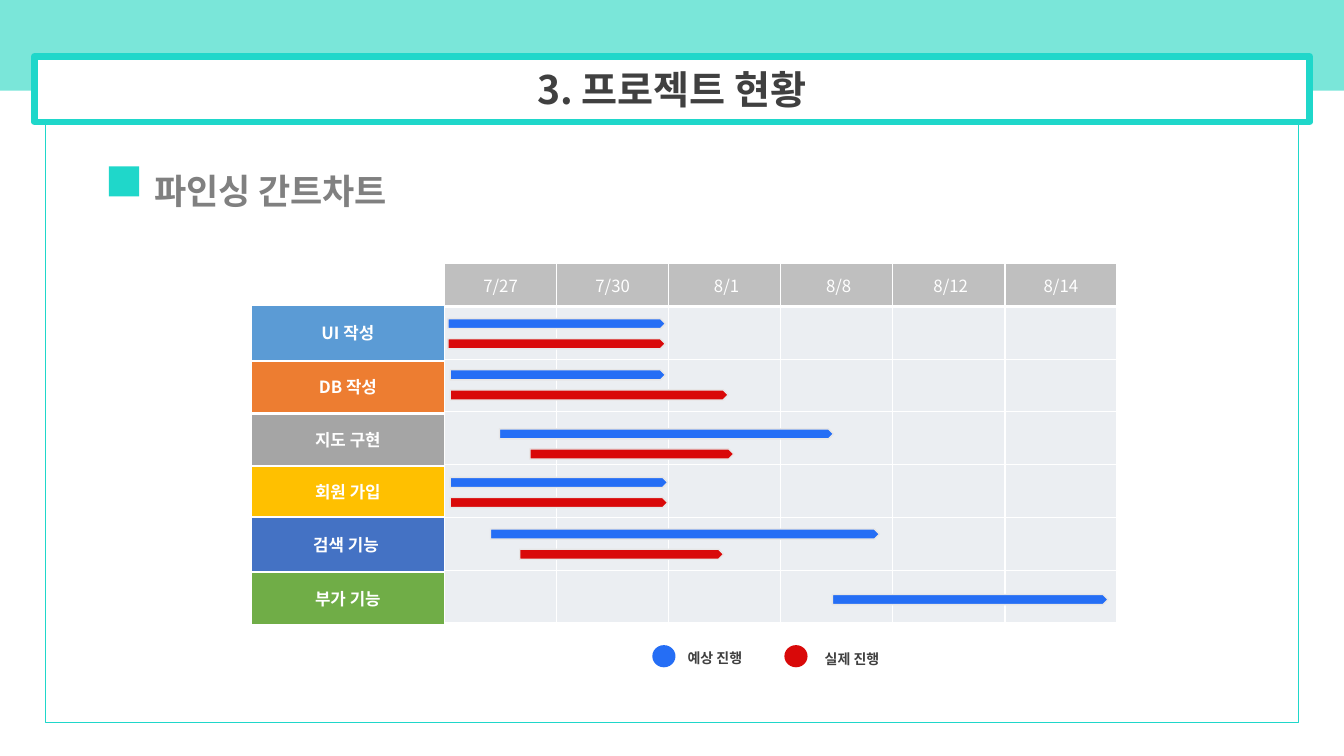
import math
from dataclasses import dataclass
from typing import Any, Optional

from lxml import etree
from pptx import Presentation, util as u
from pptx.dml.color import RGBColor
from pptx.enum import shapes, text
from pptx.oxml.ns import qn

WIDTH, HEIGHT = u.Inches(13.33), u.Inches(7.5)
FONT = "Noto Sans CJK KR"
MINT = RGBColor(0x7A, 0xE6, 0xD9)
TEAL = RGBColor(0x1F, 0xD7, 0xCA)
WHITE = RGBColor(0xFF, 0xFF, 0xFF)
DARK = RGBColor(0x40, 0x40, 0x40)
GRAY = RGBColor(0x80, 0x80, 0x80)
HEADER_GRAY = RGBColor(0xBF, 0xBF, 0xBF)
CELL_GRAY = RGBColor(0xEB, 0xEE, 0xF2)
BAR_EDGE = RGBColor(0xE7, 0xE6, 0xE6)
EXPECTED = RGBColor(0x25, 0x6E, 0xF5)
ACTUAL = RGBColor(0xD9, 0x09, 0x09)

COLUMN, ROW, HEADER = u.Inches(6.67) // 6, u.Inches(3.14) // 6, u.Inches(0.43)
GRID_LEFT, GRID_TOP = u.Inches(4.41), u.Inches(2.61)
LABEL_LEFT, LABELS_TOP = u.Inches(2.49), u.Inches(3.03)
LABEL_WIDTH = GRID_LEFT - LABEL_LEFT
BAR_HEIGHT, BAR_STEP = u.Inches(0.1), u.Inches(0.2)
DATES = ["7/27", "7/30", " 8/1", " 8/8", " 8/12", "8/14"]


@dataclass
class Box:
    left: int
    top: int
    width: int
    height: int


@dataclass
class Bar:
    start: float
    span: float
    color: RGBColor


@dataclass
class Task:
    name: str
    color: RGBColor
    rows: float
    inset: float
    bars: list[Bar]


@dataclass
class LegendEntry:
    name: str
    color: RGBColor
    dot_left: float
    text_left: float
    text_top: float


TASKS = [
    Task("UI 작성", RGBColor(0x5B, 0x9B, 0xD5), 1.05, 0.25,
         [Bar(0.03, 1.94, EXPECTED), Bar(0.03, 1.94, ACTUAL)]),
    Task("DB 작성", RGBColor(0xED, 0x7D, 0x31), 1, 0.17,
         [Bar(0.05, 1.92, EXPECTED), Bar(0.05, 2.48, ACTUAL)]),
    Task("지도 구현", RGBColor(0xA5, 0xA5, 0xA5), 1, 0.29,
         [Bar(0.49, 2.98, EXPECTED), Bar(0.76, 1.82, ACTUAL)]),
    Task("회원 가입", RGBColor(0xFF, 0xC0, 0x00), 0.96, 0.21,
         [Bar(0.05, 1.94, EXPECTED), Bar(0.05, 1.94, ACTUAL)]),
    Task("검색 기능 ", RGBColor(0x44, 0x72, 0xC4), 1.05, 0.23,
         [Bar(0.41, 3.47, EXPECTED), Bar(0.67, 1.82, ACTUAL)]),
    Task("부가 기능", RGBColor(0x70, 0xAD, 0x47), 1, 0.42, [Bar(3.46, 2.46, EXPECTED)]),
]
LEGEND = [
    LegendEntry("예상 진행", EXPECTED, 6.47, 6.79, 6.44),
    LegendEntry("실제 진행", ACTUAL, 7.78, 8.15, 6.45),
]


def inches(left: float, top: float, width: float, height: float) -> Box:
    return Box(*(u.Inches(value) for value in (left, top, width, height)))


def apply_format(target: Any, values: dict[str, Any]) -> None:
    for name, value in values.items():
        setattr(target, name, value)


def write(frame: Any, words: str, size: float, color: RGBColor, bold: bool = True,
          align: Any = text.PP_ALIGN.CENTER) -> Any:
    paragraph = frame.paragraphs[0]
    paragraph.alignment = align
    run = paragraph.add_run()
    run.text = words
    apply_format(run.font, {"name": FONT, "size": u.Pt(size), "bold": bold})
    run.font.color.rgb = color
    east_asian = etree.SubElement(run.font._element, qn("a:ea"))
    east_asian.set("typeface", FONT)
    return paragraph


def paint(shape: Any, fill: RGBColor, line: Optional[RGBColor] = None, weight: float = 1) -> None:
    shape.shadow.inherit = False
    shape.fill.solid()
    shape.fill.fore_color.rgb = fill
    if line is None:
        shape.line.fill.background()
    else:
        shape.line.color.rgb = line
        shape.line.width = u.Pt(weight)


def add_box(slide: Any, box: Box, fill: RGBColor, line: Optional[RGBColor] = None,
            weight: float = 1, kind: Any = shapes.MSO_SHAPE.RECTANGLE) -> Any:
    shape = slide.shapes.add_shape(kind, box.left, box.top, box.width, box.height)
    paint(shape, fill, line, weight)
    shape.text_frame.vertical_anchor = text.MSO_ANCHOR.MIDDLE
    return shape


def add_text(slide: Any, box: Box, formats: dict[str, Any]) -> Any:
    shape = slide.shapes.add_textbox(box.left, box.top, box.width, box.height)
    apply_format(shape.text_frame, formats)
    return shape.text_frame


def circle(x: float, y: float, radius: float, first: int, last: int) -> list[tuple[float, float]]:
    return [(x + radius * math.cos(math.radians(angle)), y + radius * math.sin(math.radians(angle)))
            for angle in range(first, last + 1, 10)]


def add_magnifier(slide: Any) -> None:
    rim = circle(12.64, 0.87, 0.115, 60, 390)
    handle = circle(12.805, 1.035, 0.02, -40, 130)
    lens = circle(12.64, 0.87, 0.08, 0, 360)[::-1]
    builder = slide.shapes.build_freeform(*rim[0], scale=u.Inches(1))
    builder.add_line_segments(rim[1:] + handle, close=True)
    builder.move_to(*lens[0])
    builder.add_line_segments(lens[1:], close=True)
    paint(builder.convert_to_shape(), TEAL)


def add_border(cell: Any, side: str, weight: float) -> None:
    line = etree.Element(qn(f"a:{side}"), w=str(u.Pt(weight)))
    fill = etree.SubElement(line, qn("a:solidFill"))
    etree.SubElement(fill, qn("a:srgbClr"), val=str(WHITE))
    properties = cell._tc.get_or_add_tcPr()
    properties.insert(len(properties) - 1, line)


def add_calendar(slide: Any) -> None:
    rows, columns = len(TASKS) + 1, len(DATES)
    table = slide.shapes.add_table(rows, columns, GRID_LEFT, GRID_TOP, COLUMN * columns,
                                   HEADER + ROW * len(TASKS)).table
    for column in table.columns:
        column.width = COLUMN
    for index, row in enumerate(table.rows):
        row.height = ROW if index else HEADER
        for date, cell in zip(DATES, row.cells):
            cell.fill.solid()
            cell.fill.fore_color.rgb = CELL_GRAY if index else HEADER_GRAY
            cell.vertical_anchor = text.MSO_ANCHOR.MIDDLE
            if index == 0:
                write(cell.text_frame, date, 12, WHITE, bold=False)
            for side in ("lnL", "lnR", "lnT", "lnB"):
                add_border(cell, side, 3 if index == 0 and side == "lnB" else 1)


def add_tasks(slide: Any) -> None:
    top = LABELS_TOP
    for task in TASKS:
        height = round(ROW * task.rows)
        label = add_box(slide, Box(LABEL_LEFT, top, LABEL_WIDTH, height), task.color, WHITE, 1.5)
        write(label.text_frame, task.name, 12, WHITE)
        top += height


def add_bars(slide: Any) -> None:
    top = LABELS_TOP
    for task in TASKS:
        for index, bar in enumerate(task.bars):
            box = Box(GRID_LEFT + round(COLUMN * bar.start),
                      top + round(ROW * task.inset) + BAR_STEP * index,
                      round(COLUMN * bar.span), BAR_HEIGHT)
            arrow = add_box(slide, box, bar.color, BAR_EDGE, 1, shapes.MSO_SHAPE.RIGHT_ARROW)
            arrow.adjustments[0] = 1
        top += round(ROW * task.rows)


def add_legend(slide: Any) -> None:
    margins = {f"margin_{side}": 0 for side in ("left", "top", "right", "bottom")}
    for entry in LEGEND:
        frame = add_text(slide, inches(entry.text_left, entry.text_top, 0.6, 0.17),
                         {"word_wrap": False, **margins})
        write(frame, entry.name, 10, DARK)
        add_box(slide, inches(entry.dot_left, 6.4, 0.23, 0.22), entry.color,
                kind=shapes.MSO_SHAPE.OVAL)


def main() -> None:
    presentation = Presentation()
    apply_format(presentation, {"slide_width": WIDTH, "slide_height": HEIGHT})
    slide = presentation.slides.add_slide(presentation.slide_layouts[6])
    add_box(slide, Box(0, 0, WIDTH, round(HEIGHT * 0.12)), MINT)
    add_box(slide, inches(0.45, 1.22, 12.43, 5.95), WHITE, TEAL)
    banner = add_box(slide, inches(0.34, 0.56, 12.65, 0.65), WHITE, TEAL, 4.75)
    write(banner.text_frame, "3. 프로젝트 현황", 28, DARK)
    add_magnifier(slide)
    heading = add_text(slide, inches(1.43, 1.42, 6.26, 0.65), {"word_wrap": True})
    write(heading, "파인싱 간트차트", 25, GRAY, align=text.PP_ALIGN.LEFT).line_spacing = 1.5
    add_tasks(slide)
    add_calendar(slide)
    add_legend(slide)
    add_bars(slide)
    add_box(slide, inches(1.08, 1.65, 0.3, 0.3), TEAL)
    presentation.save("out.pptx")


if __name__ == "__main__":
    main()
